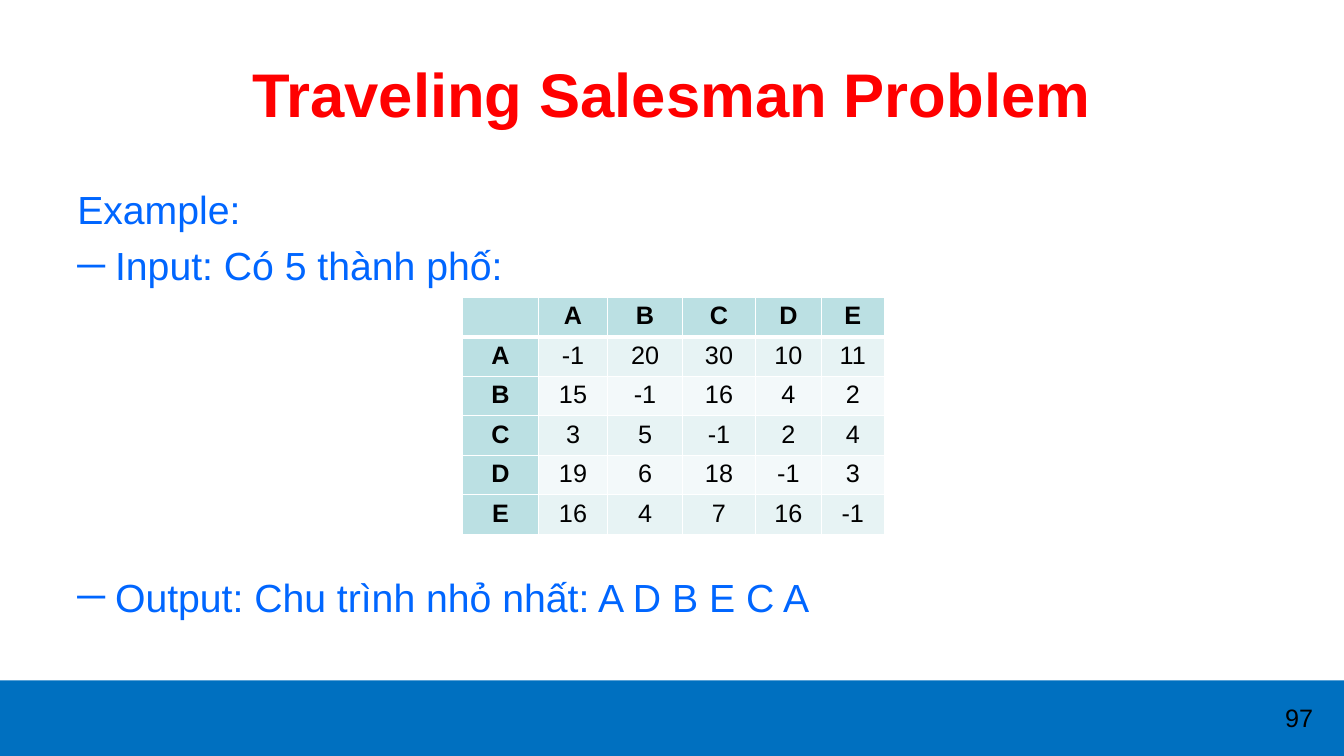
import lxml.etree
import pptx
import pptx.dml.color
import pptx.enum.shapes
import pptx.enum.text
import pptx.oxml.ns
import pptx.util

Pt = pptx.util.Pt
RGBColor = pptx.dml.color.RGBColor
CENTER = pptx.enum.text.PP_ALIGN.CENTER
MIDDLE = pptx.enum.text.MSO_ANCHOR.MIDDLE
TOP = pptx.enum.text.MSO_ANCHOR.TOP
NO_FIT = pptx.enum.text.MSO_AUTO_SIZE.NONE
qn = pptx.oxml.ns.qn

RED = RGBColor(0xFF, 0x00, 0x00)
BLUE = RGBColor(0x00, 0x66, 0xFF)
BLACK = RGBColor(0x00, 0x00, 0x00)
FOOTER_BLUE = RGBColor(0x00, 0x70, 0xC0)
HEADER_TEAL = RGBColor(0xBB, 0xE0, 0xE3)
ROW_TINTS = [RGBColor(0xF3, 0xF9, 0xFA), RGBColor(0xE7, 0xF3, 0xF4)]
WHITE = RGBColor(0xFF, 0xFF, 0xFF)


def write(paragraph, text, size, color, bold=False):
    run = paragraph.add_run()
    run.text = text
    for name, value in {"name": "Arial", "size": Pt(size), "bold": bold}.items():
        setattr(run.font, name, value)
    run.font.color.rgb = color


def add_border(cell, side, width):
    """Draw one white edge of a cell; side is L, R, T or B."""
    line = lxml.etree.SubElement(
        cell._tc.get_or_add_tcPr(), qn(f"a:ln{side}"), w=str(int(Pt(width))))
    fill = lxml.etree.SubElement(line, qn("a:solidFill"))
    lxml.etree.SubElement(fill, qn("a:srgbClr"), val=str(WHITE))


deck = pptx.Presentation()
deck.slide_width, deck.slide_height = Pt(960), Pt(540)
slide = deck.slides.add_slide(deck.slide_layouts[1])

# Footer band and page number
footer = slide.shapes.add_shape(
    pptx.enum.shapes.MSO_SHAPE.RECTANGLE, Pt(0), Pt(486), Pt(960), Pt(54))
footer.shadow.inherit = False
footer.fill.solid()
footer.fill.fore_color.rgb = FOOTER_BLUE
footer.line.fill.background()

page_number = slide.shapes.add_textbox(Pt(896), Pt(498.4), Pt(64), Pt(29))
page_number.text_frame.word_wrap = True
page_number.text_frame.paragraphs[0].alignment = CENTER
write(page_number.text_frame.paragraphs[0], "97", 18, BLACK)

# Title and body
title, body = slide.shapes.title, slide.placeholders[1]
for placeholder, top, height, anchor in [(title, 21.6, 90, MIDDLE), (body, 126, 356.4, TOP)]:
    frame_format = {"left": Pt(48), "top": Pt(top), "width": Pt(864), "height": Pt(height)}
    for name, value in frame_format.items():
        setattr(placeholder, name, value)
    placeholder.text_frame.auto_size = NO_FIT
    placeholder.text_frame.vertical_anchor = anchor

title.text_frame.paragraphs[0].alignment = CENTER
write(title.text_frame.paragraphs[0], "Traveling Salesman Problem", 44, RED, bold=True)

body.text_frame.margin_top = Pt(6)
body_lines = [  # text, dash, space before
    ("Example:", None, 0),
    ("Input: Có 5 thành phố:", "─", 7),
    ("Output: Chu trình nhỏ nhất: A D B E C A", "─", 203),
]
for index, (text, dash, space) in enumerate(body_lines):
    paragraph = body.text_frame.paragraphs[0] if index == 0 else body.text_frame.add_paragraph()
    paragraph.space_before = Pt(space)
    properties = paragraph._p.get_or_add_pPr()
    indent = int(Pt(27)) if dash else 0
    properties.set("marL", str(indent))
    properties.set("indent", str(-indent))
    if dash:
        lxml.etree.SubElement(properties, qn("a:buChar"), char=dash)
    else:
        lxml.etree.SubElement(properties, qn("a:buNone"))
    write(paragraph, text, 28, BLUE)

# Distances between cities
cities = "ABCDE"
distances = [
    [-1, 20, 30, 10, 11],
    [15, -1, 16, 4, 2],
    [3, 5, -1, 2, 4],
    [19, 6, 18, -1, 3],
    [16, 4, 7, 16, -1],
]
rows = [["", *cities]] + [[city, *costs] for city, costs in zip(cities, distances)]
column_widths = [54.2, 49.4, 53.5, 52.2, 47, 45]
row_height = 27.4
matrix = slide.shapes.add_table(
    len(rows), len(column_widths), Pt(330.4), Pt(212.4),
    Pt(sum(column_widths)), Pt(row_height * len(rows))).table
for column, width in zip(matrix.columns, column_widths):
    column.width = Pt(width)
for r, row in enumerate(rows):
    matrix.rows[r].height = Pt(row_height)
    for c, value in enumerate(row):
        cell = matrix.cell(r, c)
        is_header = r == 0 or c == 0
        cell.margin_top = cell.margin_bottom = Pt(3.3)
        for side, width in {"L": 1, "R": 1, "T": 3 if r == 1 else 1, "B": 3 if r == 0 else 1}.items():
            add_border(cell, side, width)
        cell.fill.solid()
        cell.fill.fore_color.rgb = HEADER_TEAL if is_header else ROW_TINTS[r % 2]
        if value != "":
            paragraph = cell.text_frame.paragraphs[0]
            paragraph.alignment = CENTER
            write(paragraph, str(value), 18, BLACK, bold=is_header)

deck.save("out.pptx")
